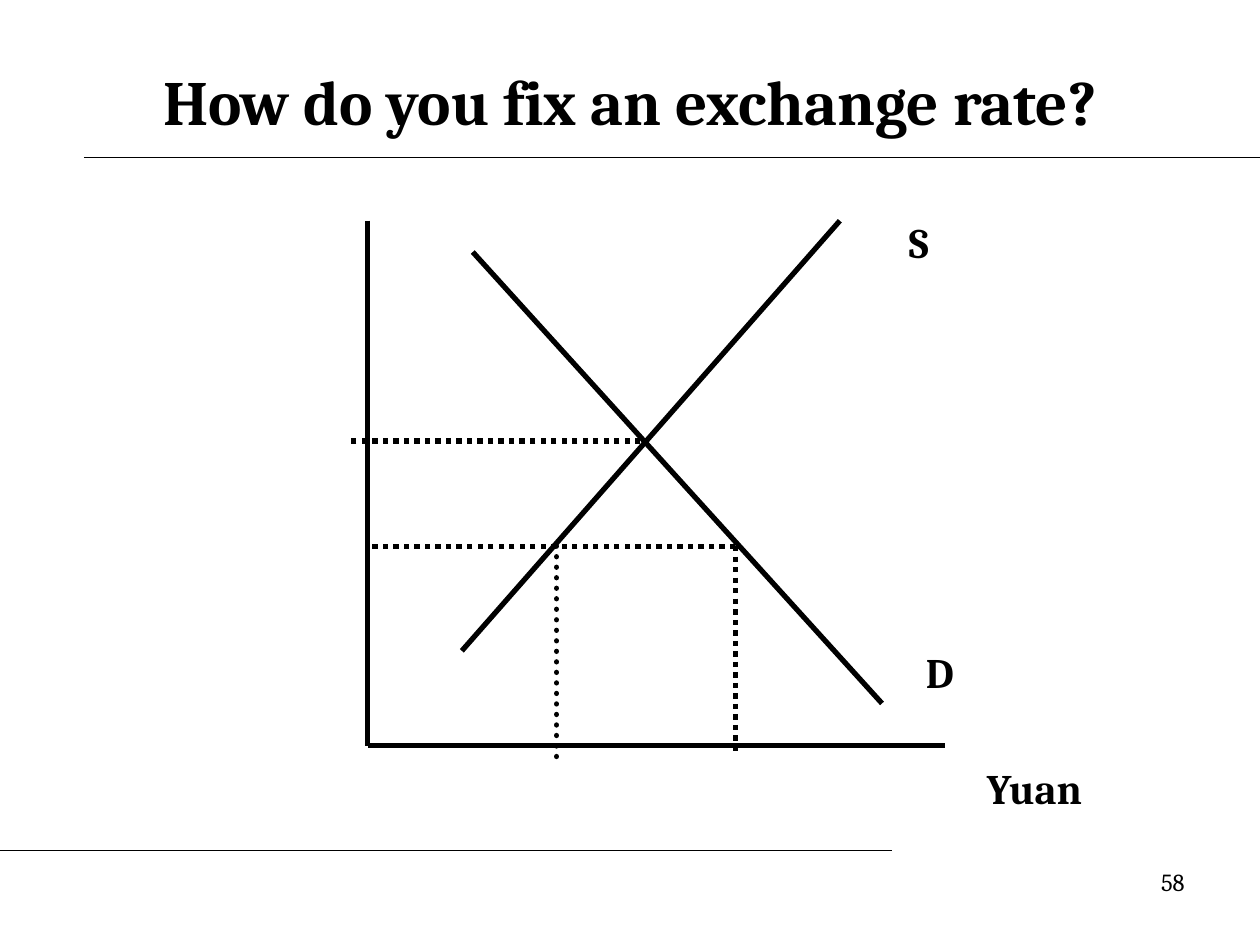
from lxml.etree import SubElement
from pptx import Presentation
from pptx.dml.color import RGBColor
from pptx.enum.dml import MSO_LINE
from pptx.enum.shapes import MSO_CONNECTOR
from pptx.enum.text import MSO_ANCHOR, PP_ALIGN
from pptx.oxml.ns import qn
from pptx.util import Cm, Pt

BLACK = "000000"


def colour(hex_text):
    return RGBColor.from_string(hex_text)


class SlideBuilder:
    """Holds the text and line style and the slide being filled."""

    font_name = "Cambria"
    ink = BLACK

    def __init__(self, slide):
        self.slide = slide

    def line(self, start, end, width=3, dash=None, round_cap=False):
        connector = self.slide.shapes.add_connector(
            MSO_CONNECTOR.STRAIGHT, *(Cm(value) for value in (*start, *end)))
        connector.line.color.rgb = colour(self.ink)
        connector.line.width = Pt(width)
        if dash:
            connector.line.dash_style = dash
        properties = connector._element.spPr
        if round_cap:
            properties.find(qn("a:ln")).set("cap", "rnd")
        SubElement(properties, qn("a:effectLst"))

    def text(self, words, left, top, width, height, size=24, bold=True,
             align=PP_ALIGN.CENTER, anchor=MSO_ANCHOR.TOP):
        box = self.slide.shapes.add_textbox(
            *(Cm(value) for value in (left, top, width, height)))
        frame = box.text_frame
        frame.word_wrap = True
        frame.vertical_anchor = anchor
        para = frame.paragraphs[0]
        para.alignment = align
        span = para.add_run()
        span.text = words
        span.font.name = self.font_name
        span.font.size = Pt(size)
        span.font.bold = bold
        span.font.color.rgb = colour(self.ink)


def main():
    deck = Presentation()
    deck.slide_width, deck.slide_height = Cm(25.4), Cm(19.05)
    page = SlideBuilder(deck.slides.add_slide(deck.slide_layouts[6]))

    # Title and footer rules
    for start, end in [((1.69, 3.18), (25.4, 3.18)),
                       ((3.18, 3.18), (25.4, 3.18)),
                       ((0, 17.15), (17.99, 17.15))]:
        page.line(start, end, width=0.75)

    # Axes
    axis_x, axis_y = 7.41, 15.03
    page.line((axis_x, 4.45), (axis_x, axis_y))
    page.line((axis_x, axis_y), (19.05, axis_y))

    # Demand and supply curves
    page.line((9.53, 5.08), (17.78, 14.18))
    page.line((9.31, 13.12), (16.93, 4.45))

    # Market rate, fixed rate and the quantities at the fixed rate
    market_rate, fixed_rate = 8.89, 11.01
    supplied, demanded = 11.22, 14.82
    dots = MSO_LINE.ROUND_DOT
    page.line((12.91, market_rate), (6.99, market_rate), dash=dots)
    page.line((demanded, fixed_rate), (axis_x, fixed_rate), dash=dots)
    page.line((supplied, fixed_rate), (supplied, 15.45), dash=dots, round_cap=True)
    page.line((demanded, fixed_rate), (demanded, 15.24), dash=dots)

    for label, left, top, width in [("D", 17.78, 12.91, 2.33),
                                    ("S", 17.36, 4.23, 2.33),
                                    ("Yuan", 18.63, 15.24, 4.45)]:
        page.text(label, left, top, width, 1.27)

    page.text("How do you fix an exchange rate?", 1.27, 0.85, 22.86, 2.33,
              size=36, anchor=MSO_ANCHOR.MIDDLE)
    page.text("58", 18.2, 17.36, 5.93, 1.32, size=14, bold=False,
              align=PP_ALIGN.RIGHT)

    deck.save("out.pptx")


if __name__ == "__main__":
    main()
